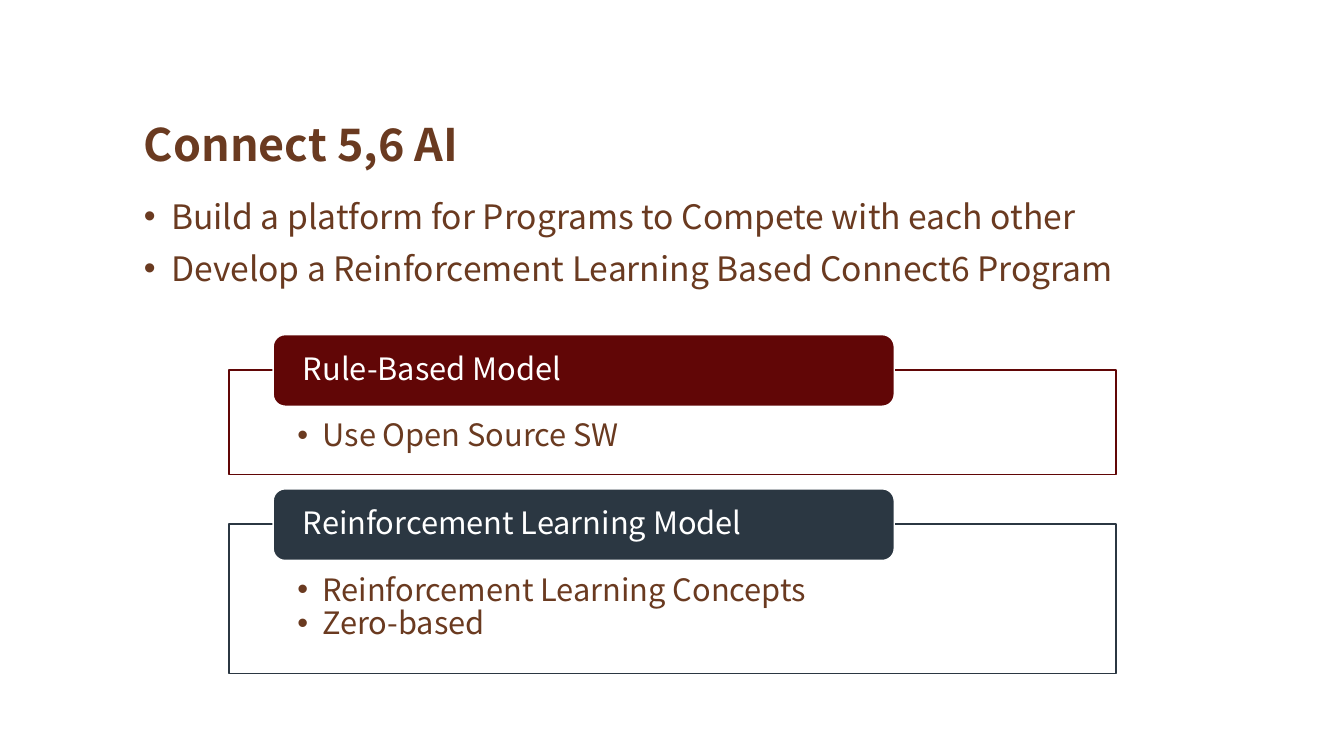
from lxml.etree import SubElement
from pptx import Presentation
from pptx.dml.color import RGBColor
from pptx.enum.shapes import MSO_SHAPE as Shape
from pptx.enum.text import MSO_ANCHOR as Anchor, PP_ALIGN as Align
from pptx.oxml.ns import qn
from pptx.util import Inches, Pt

FONT = "Noto Sans CJK KR"
COLORS = {"brown": "6A3A20", "maroon": "610606", "slate": "2B3742", "white": "FFFFFF"}

GOALS = [
    "Build a platform for Programs to Compete with each other",
    "Develop a Reinforcement Learning Based Connect6 Program",
]
# heading, points, colour, frame top, frame height
MODELS = [
    ("Rule-Based Model", ["Use Open Source SW"], "maroon", 3.67, 1.04),
    ("Reinforcement Learning Model",
     ["Reinforcement Learning Concepts", "Zero-based"], "slate", 5.2, 1.48),
]


def rgb(name):
    return RGBColor.from_string(COLORS[name])


def set_bullet(paragraph, indent):
    properties = paragraph._p.get_or_add_pPr()
    properties.set("marL", str(Inches(indent)))
    properties.set("indent", str(-Inches(indent)))
    SubElement(properties, qn("a:buFont"), typeface="Arial")
    SubElement(properties, qn("a:buChar"), char="•")


def write(shape, lines, size, color="brown", bold=False, anchor=Anchor.TOP,
          insets=(0.1, 0.05, 0.1, 0.05), spacing=0.9, after=0, bullet=None):
    """Fill a shape with one paragraph per line; insets run left, top, right, bottom."""
    frame = shape.text_frame
    frame.word_wrap = True
    frame.vertical_anchor = anchor
    (frame.margin_left, frame.margin_top,
     frame.margin_right, frame.margin_bottom) = map(Inches, insets)
    for index, line in enumerate(lines):
        paragraph = frame.add_paragraph() if index else frame.paragraphs[0]
        paragraph.alignment = Align.LEFT
        paragraph.line_spacing = spacing
        paragraph.space_after = Pt(after)
        if bullet:
            set_bullet(paragraph, bullet)
        run = paragraph.add_run()
        run.text = line
        run.font.name, run.font.size, run.font.bold = FONT, Pt(size), bold
        run.font.color.rgb = rgb(color)


def add_text(slide, box, lines, **text_format):
    write(slide.shapes.add_textbox(*map(Inches, box)), lines, **text_format)


def add_panel(slide, kind, box, fill, line):
    panel = slide.shapes.add_shape(kind, *map(Inches, box))
    panel.shadow.inherit = False
    panel.fill.solid()
    panel.fill.fore_color.rgb = rgb(fill)
    panel.line.color.rgb = rgb(line)
    panel.line.width = Pt(1)
    return panel


def add_model(slide, heading, points, color, top, height):
    outline = add_panel(slide, Shape.RECTANGLE, (2.27, top, 8.8, height), "white", color)
    write(outline, points, size=22, insets=(0.68, 0.5, 0.68, 0.17), bullet=0.25)
    # The heading straddles the top edge of the outline
    tab = add_panel(slide, Shape.ROUNDED_RECTANGLE, (2.71, top - 0.35, 6.16, 0.71),
                    color, "white")
    write(tab, [heading], size=22, color="white", anchor=Anchor.MIDDLE,
          insets=(0.26, 0, 0.26, 0))


def main():
    deck = Presentation()
    deck.slide_width, deck.slide_height = Inches(13.33), Inches(7.5)
    slide = deck.slides.add_slide(deck.slide_layouts[6])

    # Title and goals
    add_text(slide, (1.33, 0.47, 10.66, 1.28), ["Connect 5,6 AI"],
             size=32, bold=True, anchor=Anchor.BOTTOM)
    add_text(slide, (1.33, 1.97, 10.66, 0.99), GOALS,
             size=24, spacing=0.8, after=14, bullet=0.27)

    # Models
    for model in MODELS:
        add_model(slide, *model)

    deck.save("out.pptx")


if __name__ == "__main__":
    main()
